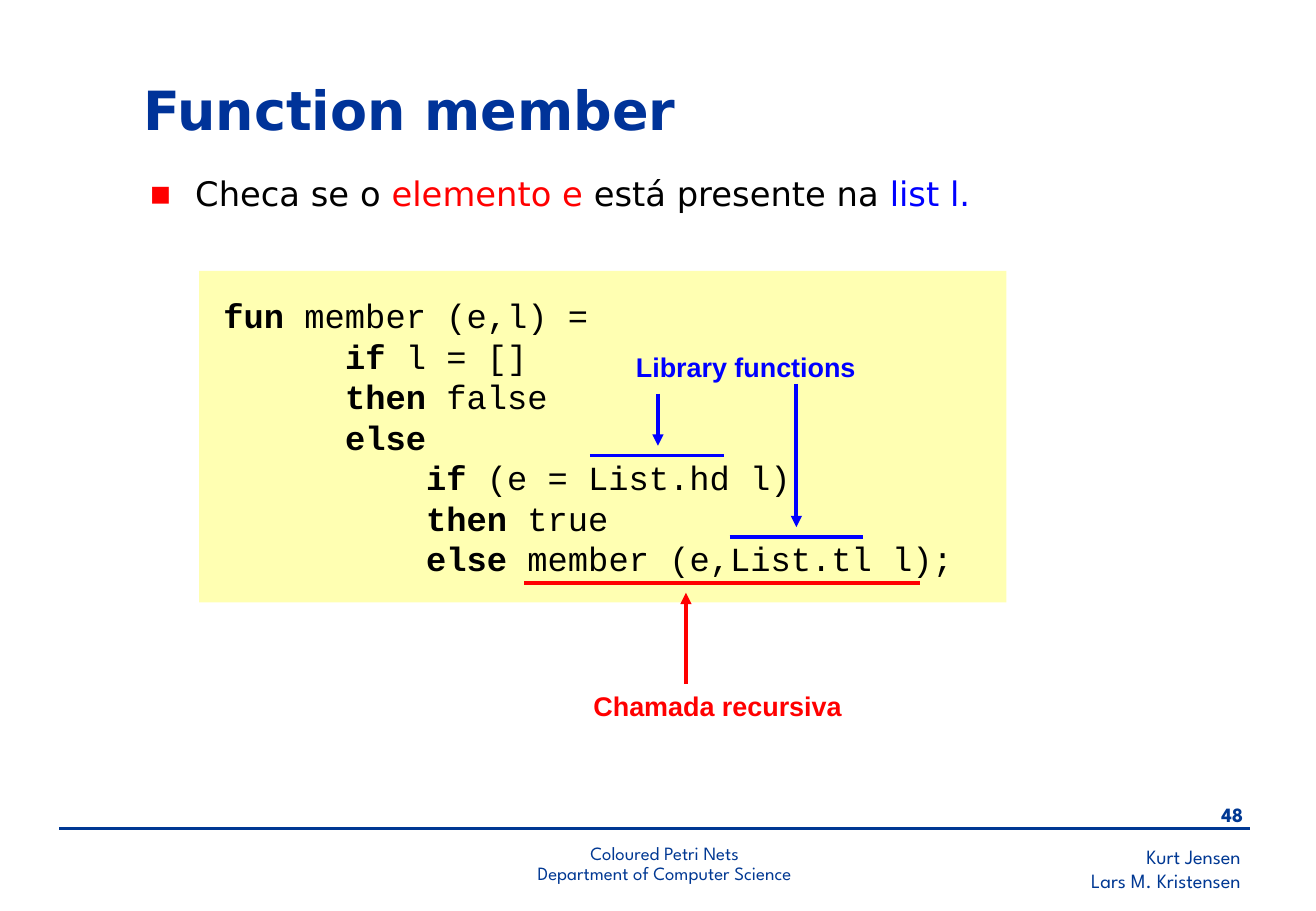
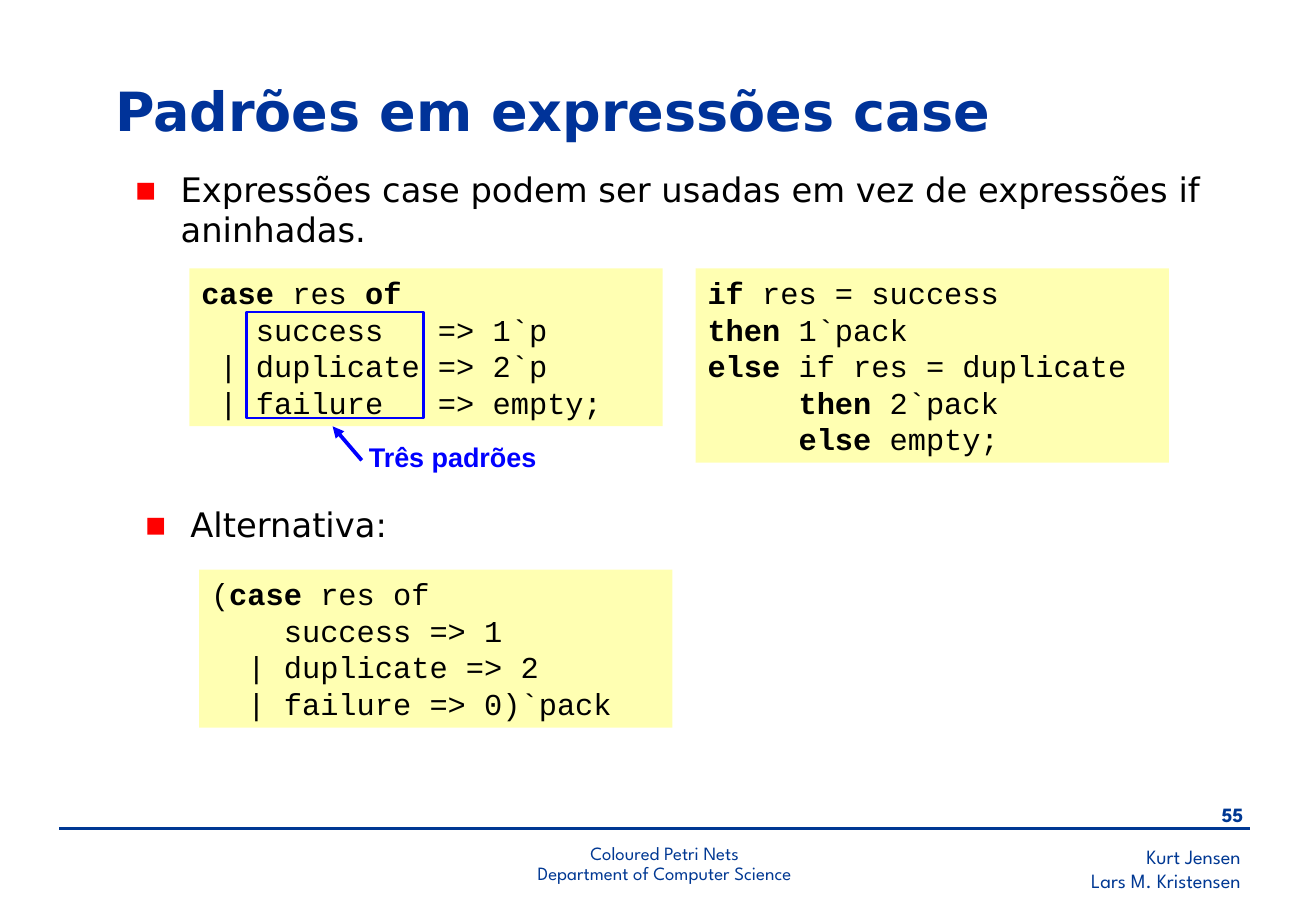
from lxml import etree
from pptx import Presentation
from pptx import util as u
from pptx.dml.color import RGBColor
from pptx.enum import shapes, text
from pptx.oxml import ns

PX = 9144  # EMU in one px, 100 px to the inch
WIDE, HIGH = 1084, 750

NAVY = RGBColor(0x00, 0x38, 0x93)
TITLE = RGBColor(0x00, 0x33, 0x99)
BLACK = RGBColor(0x00, 0x00, 0x00)
RED = RGBColor(0xFF, 0x00, 0x00)
BLUE = RGBColor(0x00, 0x00, 0xFF)
YELLOW = RGBColor(0xFF, 0xFF, 0x66)

BRAND, SANS, LABEL, MONO = "League Spartan", "DejaVu Sans", "Arial", "Courier New"
LEFT, MID, RIGHT = text.PP_ALIGN.LEFT, text.PP_ALIGN.CENTER, text.PP_ALIGN.RIGHT


def px(*nums):
    return [u.Emu(n * PX) for n in nums]


def sub(node, tag, **attrs):
    return etree.SubElement(node, ns.qn("a:" + tag), **attrs)


# Text
def add_run(para, words, font, size, color, bold=False):
    run = para.add_run()
    run.text = words
    run.font.name, run.font.size, run.font.bold = font, u.Pt(size), bold
    run.font.color.rgb = color


def set_frame(shape, side=10, top=5, anchor=text.MSO_ANCHOR.TOP):
    frame = shape.text_frame
    frame.word_wrap = True
    frame.vertical_anchor = anchor
    frame.margin_left = frame.margin_right = u.Emu(side * PX)
    frame.margin_top = frame.margin_bottom = u.Emu(top * PX)
    return frame


def add_paras(frame, count, align=LEFT):
    for _ in range(count - 1):
        frame.add_paragraph()
    for para in frame.paragraphs:
        para.alignment = align
    return frame.paragraphs


def add_text(slide, box, lines, font, size, color, bold=False, align=LEFT,
             space=None, anchor=text.MSO_ANCHOR.TOP):
    frame = set_frame(slide.shapes.add_textbox(*px(*box)), anchor=anchor)
    for para, line in zip(add_paras(frame, len(lines), align), lines):
        para.line_spacing = space
        add_run(para, line, font, size, color, bold)


def add_title(slide, box, words):
    add_text(slide, box, [words], SANS, 32, TITLE, True, anchor=text.MSO_ANCHOR.MIDDLE)


def add_label(slide, box, words, color):
    add_text(slide, box, [words], LABEL, 16, color, True)


def add_bullet(slide, box, *parts):
    """Each part is a pair of words and colour."""
    para = set_frame(slide.shapes.add_textbox(*px(*box))).paragraphs[0]
    props = para._p.get_or_add_pPr()
    props.set("marL", str(38 * PX))
    props.set("indent", str(-38 * PX))
    sub(sub(props, "buClr"), "srgbClr", val=str(RED))
    sub(props, "buFont", typeface=SANS)
    sub(props, "buChar", char="▪")
    for words, color in parts:
        add_run(para, words, SANS, 20, color)


# Shapes
def add_rect(slide, box):
    rect = slide.shapes.add_shape(shapes.MSO_SHAPE.RECTANGLE, *px(*box))
    rect.shadow.inherit = False
    return rect


def add_code(slide, box, lines, size=18, side=10, top=5):
    """Words between asterisks are bold."""
    rect = add_rect(slide, box)
    rect.fill.solid()
    rect.fill.fore_color.rgb = YELLOW
    tint = rect._element.spPr.find(".//" + ns.qn("a:srgbClr"))
    sub(tint, "alpha", val="50000")
    rect.line.fill.background()
    paras = add_paras(set_frame(rect, side, top), len(lines))
    for para, line in zip(paras, lines):
        for i, words in enumerate(line.split("*")):
            if words:
                add_run(para, words, MONO, size, BLACK, i % 2 == 1)


def add_frame(slide, box, color):
    rect = add_rect(slide, box)
    rect.fill.background()
    rect.line.color.rgb = color
    rect.line.width = u.Pt(1.5)


def add_line(slide, ends, color, width=2.25, arrow=False):
    line = slide.shapes.add_connector(shapes.MSO_CONNECTOR.STRAIGHT, *px(*ends))
    line.line.color.rgb = color
    line.line.width = u.Pt(width)
    if arrow:
        sub(line.line._get_or_add_ln(), "tailEnd", type="triangle")
    sub(line._element.spPr, "effectLst")


# Shared parts of each slide
def new_slide(deck, number):
    slide = deck.slides.add_slide(deck.slide_layouts[6])
    add_text(slide, (695, 690, 337, 50), ["Kurt Jensen", "Lars M. Kristensen"],
             BRAND, 12, NAVY, align=RIGHT)
    add_text(slide, (963, 656, 71, 33), [number], BRAND, 12, NAVY, True, RIGHT)
    add_line(slide, (49, 682, 1030, 682), NAVY, 1.5)
    add_text(slide, (341, 690, 413, 47),
             ["Coloured Petri Nets", "Department of Computer Science"],
             BRAND, 11.1, NAVY, align=MID, space=0.9)
    return slide


def member_slide(deck):
    slide = new_slide(deck, "48")
    add_title(slide, (108, 55, 864, 69), "Function member")
    add_bullet(slide, (113, 137, 803, 55), ("Checa se o ", BLACK), ("elemento e", RED),
               (" está presente na ", BLACK), ("list l.", BLUE))
    add_code(slide, (164, 223, 665, 273), [
        "*fun* member (e,l) =",
        "      *if* l = []",
        "      *then* false",
        "      *else*",
        "          *if* (e = List.hd l)",
        "          *then* true",
        "          *else* member (e,List.tl l);",
    ], size=20, side=20, top=20)

    # Recursive call
    add_label(slide, (479, 563, 232, 37), "Chamada recursiva", RED)
    add_line(slide, (565, 563, 565, 488), RED, arrow=True)
    add_line(slide, (432, 480, 758, 480), RED)

    # Library functions: arrow x, arrow top, bar left, bar y
    add_label(slide, (514, 284, 217, 37), "Library functions", BLUE)
    for x, top, left, bar in ((542, 324, 486, 375), (656, 316, 601, 442)):
        add_line(slide, (x, top, x, bar - 8), BLUE, arrow=True)
        add_line(slide, (left, bar, left + 110, bar), BLUE)


def case_slide(deck):
    slide = new_slide(deck, "55")
    add_title(slide, (85, 56, 788, 69), "Padrões em expressões case")
    add_bullet(slide, (101, 134, 937, 87),
               ("Expressões case podem ser usadas em vez de expressões if aninhadas.", BLACK))
    add_code(slide, (156, 221, 390, 130), [
        "*case* res *of*",
        "   success   => 1`p",
        " | duplicate => 2`p",
        " | failure   => empty;",
    ])
    add_code(slide, (573, 221, 390, 160), [
        "*if* res = success",
        "*then* 1`pack",
        "*else* if res = duplicate",
        "     *then* 2`pack",
        "     *else* empty;",
    ])

    # Patterns
    add_frame(slide, (203, 257, 146, 87), BLUE)
    add_label(slide, (294, 358, 181, 37), "Três padrões", BLUE)
    add_line(slide, (298, 379, 274, 351), BLUE, arrow=True)

    # Alternative
    add_bullet(slide, (109, 410, 232, 47), ("Alternativa:", BLACK))
    add_code(slide, (164, 469, 390, 130), [
        "(*case* res of",
        "    success => 1",
        "  | duplicate => 2",
        "  | failure => 0)`pack",
    ])


def main():
    deck = Presentation()
    deck.slide_width, deck.slide_height = px(WIDE, HIGH)
    member_slide(deck)
    case_slide(deck)
    deck.save("out.pptx")


if __name__ == "__main__":
    main()
